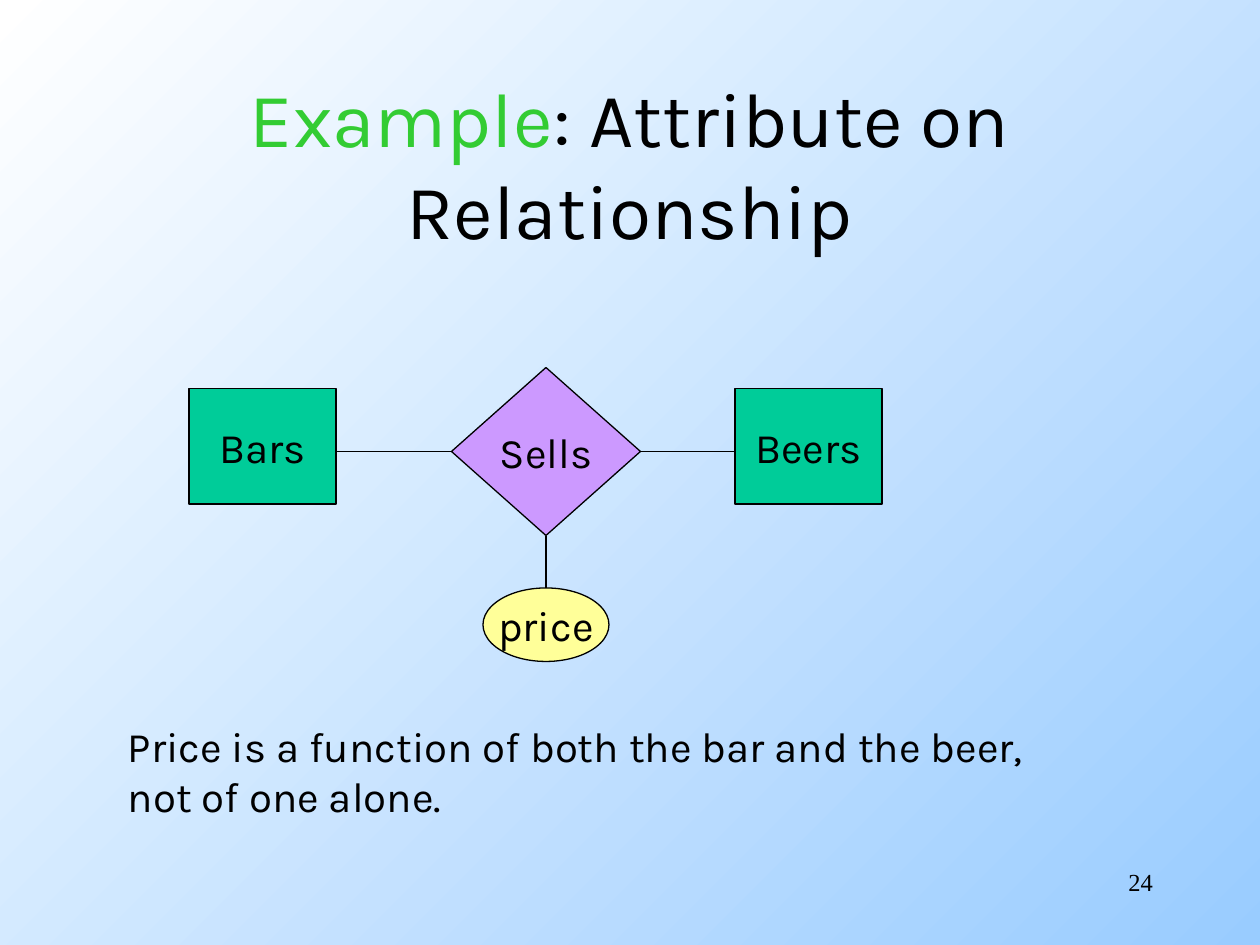
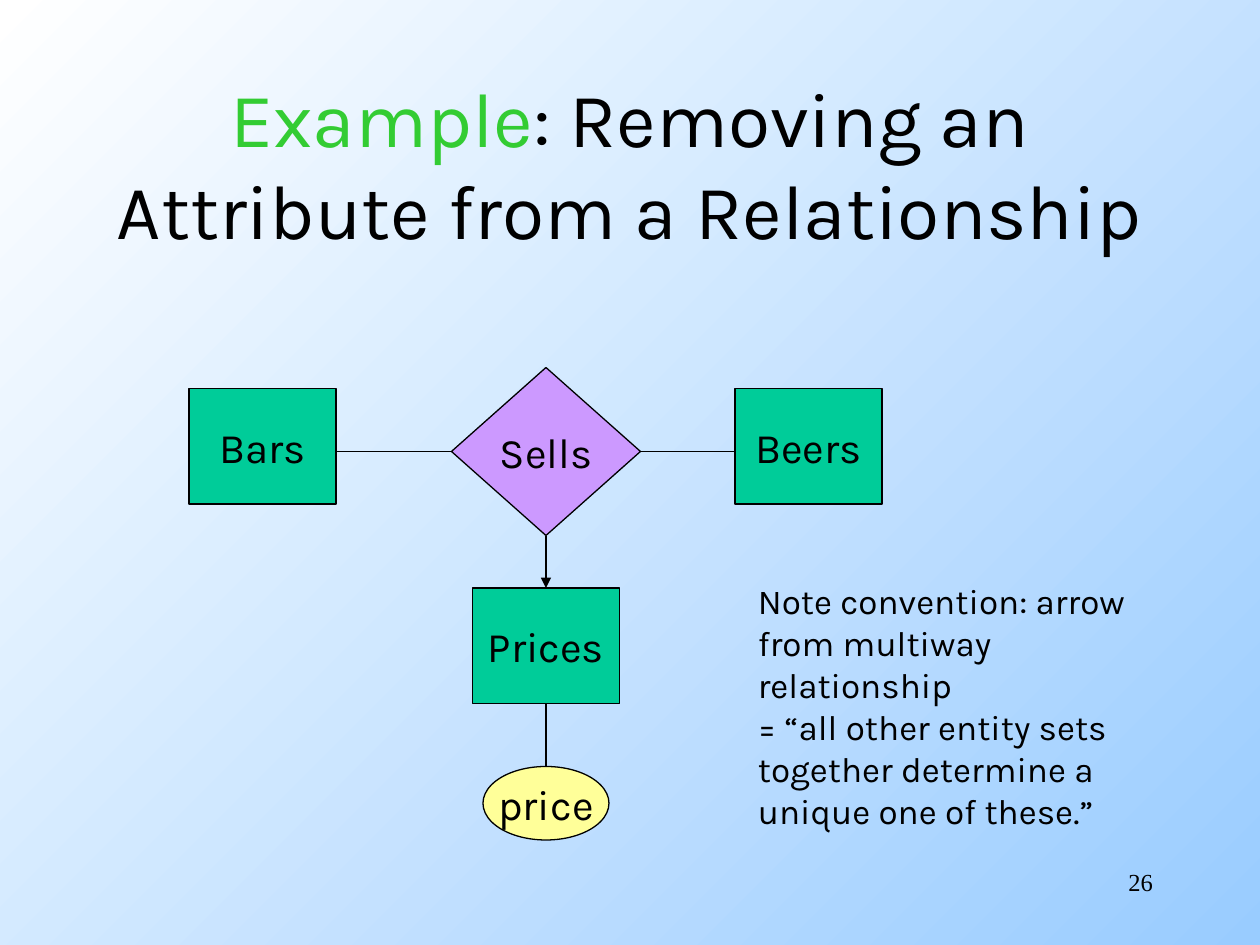
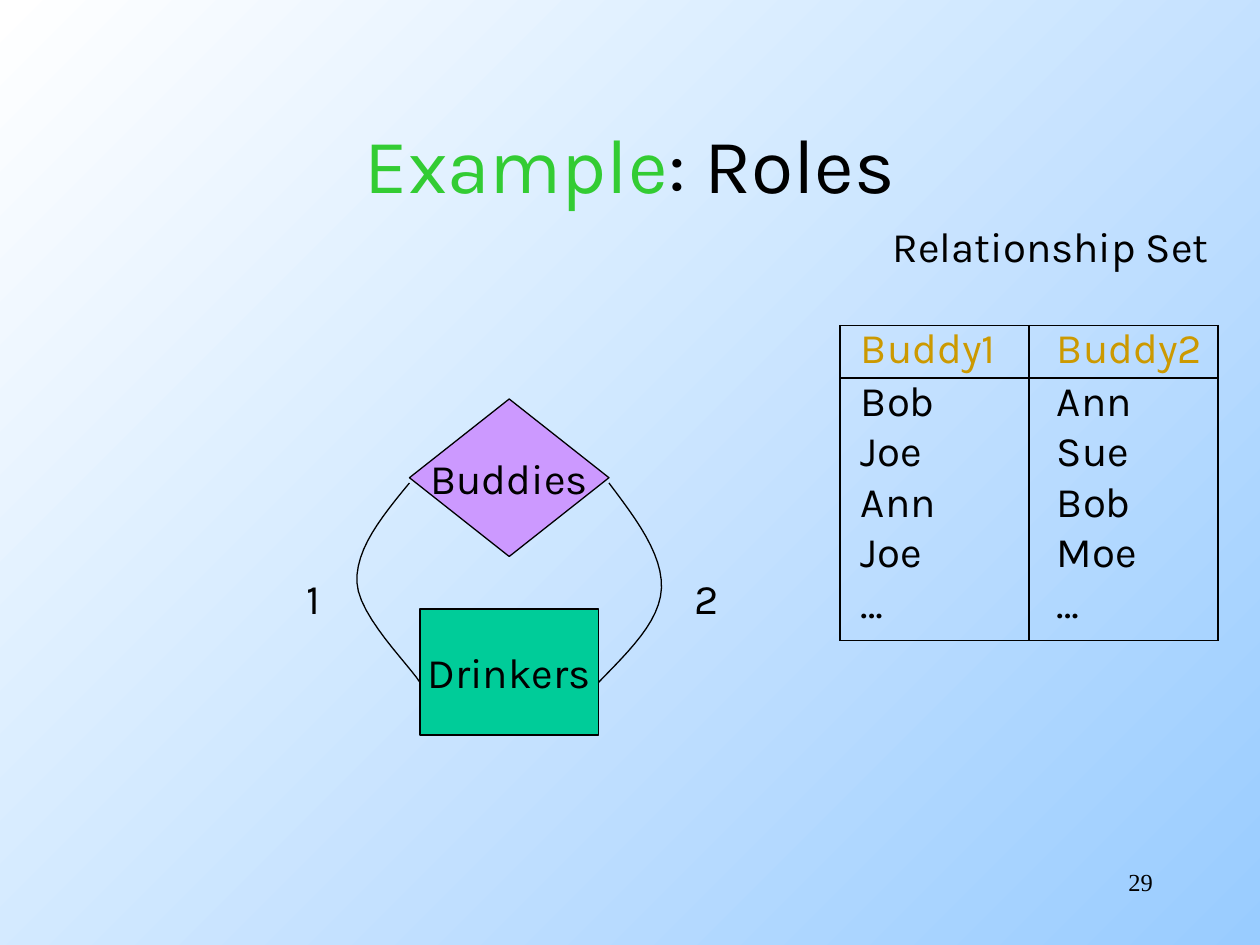
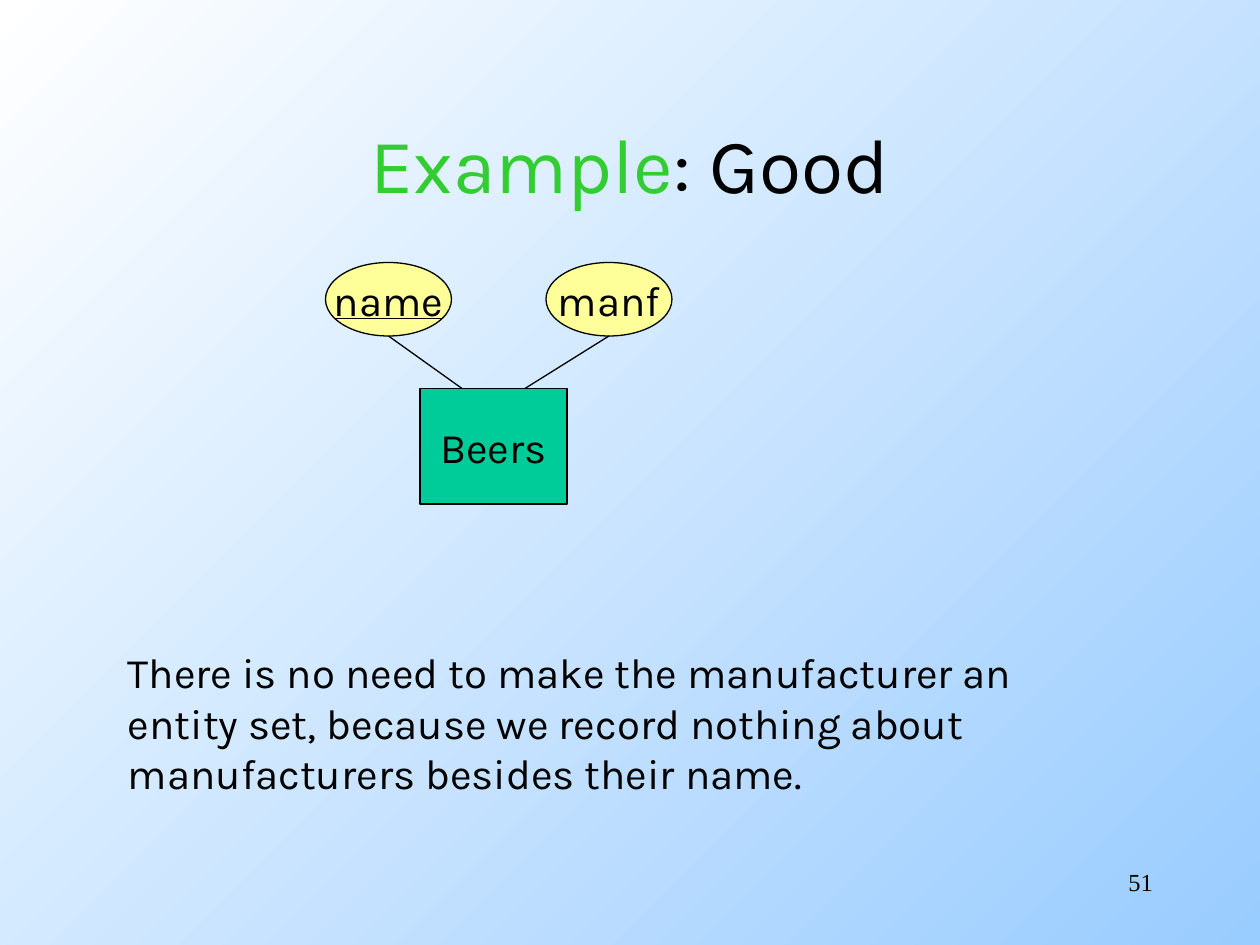
"""Build four slides of entity-relationship examples."""
from typing import NamedTuple

from lxml import etree
from pptx import Presentation
from pptx.dml.color import RGBColor
from pptx.enum.shapes import MSO_CONNECTOR, MSO_SHAPE
from pptx.enum.text import MSO_ANCHOR, MSO_AUTO_SIZE, PP_ALIGN
from pptx.oxml.ns import qn
from pptx.presentation import Presentation as Deck
from pptx.shapes.base import BaseShape
from pptx.slide import Slide
from pptx.table import _Cell as Cell
from pptx.text.text import TextFrame
from pptx.util import Pt

RECT, OVAL, RHOMB = MSO_SHAPE.RECTANGLE, MSO_SHAPE.OVAL, MSO_SHAPE.DIAMOND
STRAIGHT = MSO_CONNECTOR.STRAIGHT
LEFT, CENTER, RIGHT = PP_ALIGN.LEFT, PP_ALIGN.CENTER, PP_ALIGN.RIGHT
TOP, MIDDLE = MSO_ANCHOR.TOP, MSO_ANCHOR.MIDDLE
NO_FIT = MSO_AUTO_SIZE.NONE

FONT, SERIF = "Karla", "Times New Roman"
BLACK, WHITE, SKY = "000000", "FFFFFF", "99CCFF"
GREEN, GOLD = "33CC33", "CC9900"
TEAL, LILAC, CREAM = "00CC99", "CC99FF", "FFFF99"
THIN = 0.75

Point = tuple[float, float]


class Node(NamedTuple):
    text: str
    left: float
    top: float
    width: float
    height: float
    kind: int
    fill: str
    under: bool = False


class Link(NamedTuple):
    start: Point
    end: Point
    arrow: bool = False


class Note(NamedTuple):
    text: str
    left: float
    top: float
    width: float
    height: float
    size: float = 24
    align: int = LEFT
    font: str = FONT
    wrap: bool = True


def rect(text: str, left: float, top: float, width: float = 84, height: float = 66) -> Node:
    return Node(text, left, top, width, height, RECT, TEAL)


def oval(text: str, left: float, top: float, under: bool = False) -> Node:
    return Node(text, left, top, 72, 42, OVAL, CREAM, under)


def rhomb(text: str, left: float, top: float, width: float, height: float) -> Node:
    return Node(text, left, top, width, height, RHOMB, LILAC)


SALES = [rect("Bars", 108, 222), rect("Beers", 420, 222), rhomb("Sells", 258, 210, 108, 96)]
ROADS = [Link((366, 258), (420, 258)), Link((258, 258), (192, 258))]
CURVES: list[list[Point]] = [
    [(348, 276), (363.6, 296.6), (378.7, 316.8), (378, 336),
     (377.3, 355), (359.3, 372.2), (342, 390)],
    [(234, 276), (218.2, 295.2), (203, 313.9), (204, 333),
     (205, 352), (234, 380.2), (240, 390)],
]
PAIRS = [("Buddy1", "Buddy2"), ("Bob", "Ann"), ("Joe", "Sue"),
         ("Ann", "Bob"), ("Joe", "Moe"), ("…", "…")]


def tint(code: str) -> RGBColor:
    return RGBColor.from_string(code)


def write(frame: TextFrame, text: str, *, size: float = 24, color: str = BLACK,
          font: str = FONT, align: int = LEFT, anchor: int = TOP,
          wrap: bool = True, under: bool = False, lead: str = "") -> None:
    frame.auto_size = NO_FIT
    frame.word_wrap = wrap
    frame.vertical_anchor = anchor
    for rank, line in enumerate(text.split("\n")):
        para = frame.add_paragraph() if rank else frame.paragraphs[0]
        para.alignment = align
        for part, code in ((lead, GREEN), (line, color)):
            if not part:
                continue
            run = para.add_run()
            run.text = part
            run.font.name = font
            run.font.size = Pt(size)
            run.font.color.rgb = tint(code)
            if under:
                run.font.underline = True


def stroke(shape: BaseShape) -> None:
    shape.line.color.rgb = tint(BLACK)
    shape.line.width = Pt(THIN)


def draw_node(slide: Slide, node: Node) -> None:
    shape = slide.shapes.add_shape(node.kind, Pt(node.left), Pt(node.top),
                                   Pt(node.width), Pt(node.height))
    shape.shadow.inherit = False
    shape.fill.solid()
    shape.fill.fore_color.rgb = tint(node.fill)
    stroke(shape)
    write(shape.text_frame, node.text, align=CENTER, anchor=MIDDLE,
          wrap=False, under=node.under)


def draw_link(slide: Slide, link: Link) -> None:
    line = slide.shapes.add_connector(STRAIGHT, *map(Pt, link.start + link.end))
    stroke(line)
    props = line._element.spPr
    etree.SubElement(props, qn("a:effectLst"))
    if link.arrow:
        etree.SubElement(props.find(qn("a:ln")), qn("a:tailEnd"), type="triangle")


def draw_note(slide: Slide, note: Note) -> None:
    box = slide.shapes.add_textbox(Pt(note.left), Pt(note.top), Pt(note.width), Pt(note.height))
    write(box.text_frame, note.text, size=note.size, align=note.align,
          font=note.font, wrap=note.wrap)


def bend(knots: list[Point], steps: int = 12) -> list[Point]:
    points = [knots[0]]
    for first in range(0, len(knots) - 1, 3):
        a, b, c, d = knots[first:first + 4]
        for step in range(1, steps + 1):
            t = step / steps
            u = 1 - t
            mix = (u ** 3, 3 * u * u * t, 3 * u * t * t, t ** 3)
            points.append((sum(m * p[0] for m, p in zip(mix, (a, b, c, d))),
                           sum(m * p[1] for m, p in zip(mix, (a, b, c, d)))))
    return points


def draw_curve(slide: Slide, knots: list[Point]) -> None:
    start, *rest = [(Pt(x), Pt(y)) for x, y in bend(knots)]
    path = slide.shapes.build_freeform(*start)
    path.add_line_segments(rest, close=False)
    curve = path.convert_to_shape()
    curve.shadow.inherit = False
    curve.fill.background()
    stroke(curve)


def edge(cell: Cell, sides: str) -> None:
    props = cell._tc.get_or_add_tcPr()
    for side in "LRTB":
        line = etree.SubElement(props, qn(f"a:ln{side}"), w=str(Pt(THIN)))
        if side in sides:
            fill = etree.SubElement(line, qn("a:solidFill"))
            etree.SubElement(fill, qn("a:srgbClr"), val=BLACK)
        else:
            etree.SubElement(line, qn("a:noFill"))


def draw_table(slide: Slide) -> None:
    last = len(PAIRS) - 1
    grid = slide.shapes.add_table(len(PAIRS), 2, Pt(480), Pt(186), Pt(216), Pt(180)).table
    grid.first_row = grid.horz_banding = False
    for row, pair in enumerate(PAIRS):
        grid.rows[row].height = Pt({0: 30, last: 34.8}.get(row, 28.8))
        for col, text in enumerate(pair):
            cell = grid.cell(row, col)
            cell.margin_left = Pt((12, 16)[col])
            cell.margin_right = cell.margin_top = cell.margin_bottom = 0
            edge(cell, "LR" + {0: "TB", 1: "T", last: "B"}.get(row, ""))
            cell.fill.background()
            write(cell.text_frame, text, color=BLACK if row else GOLD)


def add_slide(deck: Deck, title: str, page: int, nodes: list[Node],
              links: list[Link], notes: list[Note]) -> Slide:
    slide = deck.slides.add_slide(deck.slide_layouts[5])
    head = slide.shapes.title
    head.left, head.top, head.width, head.height = map(Pt, (54, 48, 612, 90))
    write(head.text_frame, title, lead="Example", size=44, align=CENTER, anchor=MIDDLE)
    for node in nodes:
        draw_node(slide, node)
    for link in links:
        draw_link(slide, link)
    for note in notes + [Note(str(page), 516, 492, 150, 36, 14, RIGHT, SERIF)]:
        draw_note(slide, note)
    return slide


def paint(deck: Deck) -> None:
    fill = deck.slide_master.background.fill
    fill.gradient()
    fill.gradient_angle = 315
    for stop, code in zip(fill.gradient_stops, (WHITE, SKY)):
        stop.color.rgb = tint(code)


def main() -> None:
    deck = Presentation()
    deck.slide_width, deck.slide_height = Pt(720), Pt(540)
    paint(deck)
    add_slide(
        deck, ": Attribute on Relationship", 24,
        SALES + [oval("price", 276, 336)],
        ROADS + [Link((312, 306), (312, 336))],
        [Note("Price is a function of both the bar and the beer,\nnot of one alone.",
              66, 408, 541.5, 65)])
    add_slide(
        deck, ": Removing an Attribute from a Relationship", 26,
        SALES + [oval("price", 276, 438), rect("Prices", 270, 336)],
        ROADS + [Link((312, 402), (312, 438)), Link((312, 306), (312, 336), True)],
        [Note("Note convention: arrow\nfrom multiway relationship\n"
              "= “all other entity sets\ntogether determine a\nunique one of these.”",
              426, 327.6, 249, 127.5, 20)])
    roles = add_slide(
        deck, ": Roles", 29,
        [rect("Drinkers", 240, 348, 102, 72), rhomb("Buddies", 234, 228, 114, 90)], [],
        [Note("1", 168, 323.5, 27, 36, wrap=False), Note("2", 390, 323.5, 27, 36, wrap=False),
         Note("Relationship Set", 503, 122.5, 196, 36, wrap=False)])
    for knots in CURVES:
        draw_curve(roles, knots)
    draw_table(roles)
    add_slide(
        deck, ": Good", 51,
        [rect("Beers", 240, 222), oval("name", 186, 150, True), oval("manf", 312, 150)],
        [Link((222, 192), (264, 222)), Link((348, 192), (300, 222))],
        [Note("There is no need to make the manufacturer an entity set, because we "
              "record nothing about manufacturers besides their name.", 66, 366, 541.5, 93.5)])
    deck.save("out.pptx")


if __name__ == "__main__":
    main()
